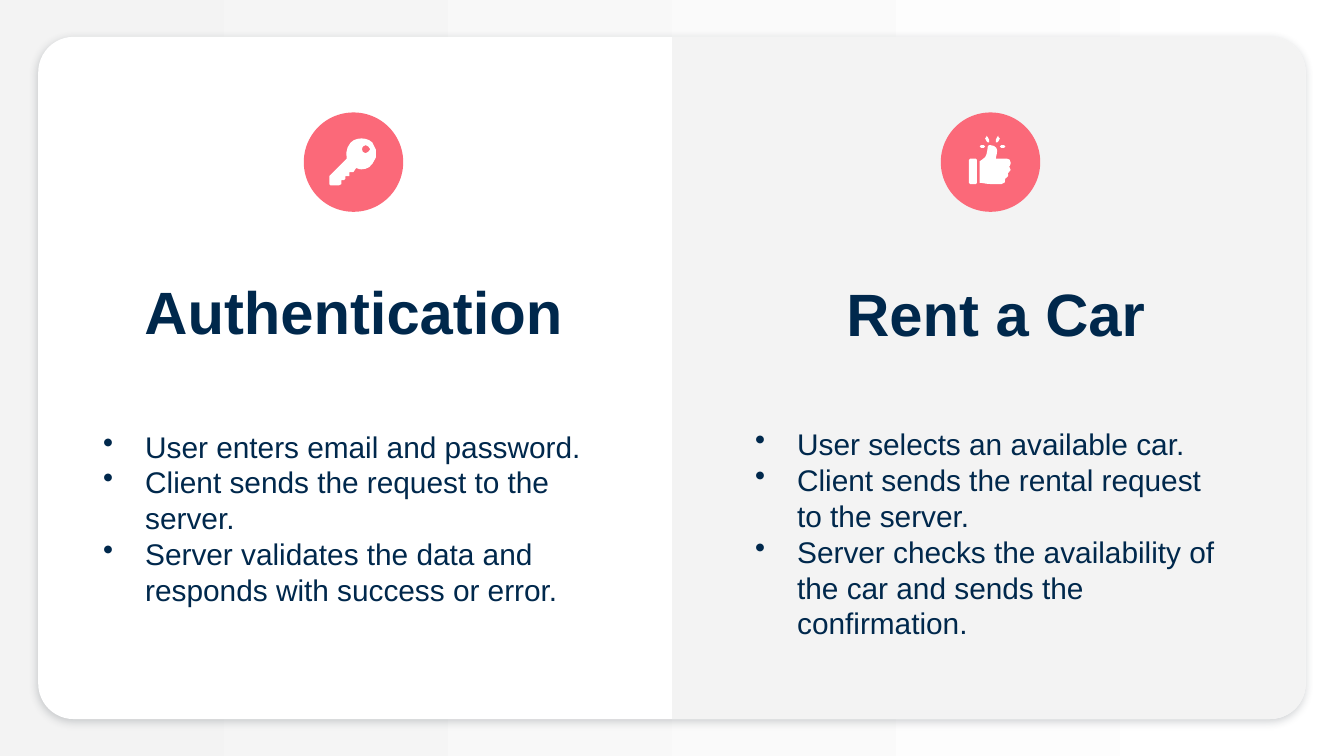
from math import dist

from lxml import etree
from pptx import Presentation
from pptx import util as u
from pptx.dml.color import RGBColor
from pptx.enum import shapes, text
from pptx.oxml import parse_xml
from pptx.oxml.ns import nsdecls, qn

THEME = {
    "font": "Arial", "head": 32, "body": 16,
    "ink": "00284C", "pale": "F3F3F3", "white": "FFFFFF",
    "rose": "FB6979", "shade": "26303A",
}
SIZE = (720, 405)
CARD = (679, 365.5)
ROUND = 19
DISC = (60.25, 53.25)
INDENT = 22.5

KEY = [
    [(272, 108), (273, 108, 274, 108, 274, 109), (276, 110, 276, 112, 274, 113),
     (274, 114, 273, 114, 272, 114), (271, 114, 271, 114, 270, 113),
     (269, 112, 269, 110, 270, 109)],
    [(269, 103), (266, 103, 263, 104, 261, 106), (258, 109, 257, 114, 258, 118),
     (245, 131), (245, 137), (246, 138), (252, 138),
     (254, 137), (254, 134), (256, 134), (257, 133), (257, 131), (260, 131),
     (260, 128), (263, 128), (265, 125),
     (267, 126, 268, 126, 269, 126), (272, 126, 275, 125, 277, 122),
     (281, 118, 281, 111, 277, 106), (275, 104, 272, 103, 269, 103)],
]
THUMB = [
    [(745, 108), (744, 109), (745, 110), (747, 110), (748, 109), (747, 108)],
    [(734, 101), (734, 102), (733, 103), (734, 105), (735, 106), (736, 106),
     (736, 104), (735, 102)],
    [(743, 101), (742, 102), (741, 104), (741, 106), (742, 106), (743, 105),
     (744, 103), (743, 102)],
    [(730, 108), (729, 109), (730, 110), (732, 110), (733, 109), (732, 108)],
    [(722, 118), (721, 119), (721, 136), (722, 137), (726, 137), (727, 136),
     (727, 119), (726, 118)],
    [(736, 108), (735, 109), (735, 111, 734, 116, 733, 117),
     (731, 119, 730, 119, 729, 120), (729, 136), (731, 136, 734, 137, 738, 137),
     (745, 137), (747, 137, 749, 135, 748, 133), (750, 132, 751, 130, 750, 129),
     (752, 128, 753, 125, 751, 124), (752, 123, 752, 122, 752, 121),
     (752, 119, 751, 118, 749, 118), (741, 118), (741, 117, 742, 114, 742, 112),
     (742, 110, 740, 108, 737, 108)],
]
SIDES = [
    {"title": "Authentication", "head": (44.75, 137.5, 289.5, 55.5),
     "list": (48.25, 222.25, 283, 133), "disc": 162.75,
     "steps": ["User enters email and password.",
               "Client sends the request to the server.",
               "Server validates the data and responds with success or error."]},
    {"title": "Rent a Car", "head": (400.25, 138.5, 266.5, 55.5),
     "list": (397.5, 221, 266.5, 133), "disc": 504,
     "steps": ["User selects an available car.",
               "Client sends the rental request to the server.",
               "Server checks the availability of the car and sends the confirmation."]},
]


def tint(name):
    return RGBColor.from_string(THEME[name])


def paint(shape, name):
    shape.shadow.inherit = False
    shape.fill.solid()
    shape.fill.fore_color.rgb = tint(name)
    shape.line.fill.background()
    return shape


def block(slide, kind, box, name):
    return paint(slide.shapes.add_shape(kind, *map(u.Pt, box)), name)


def trace(start, step):
    if len(step) == 2:
        return [step]
    a, b, c, d = start, step[:2], step[2:4], step[4:]
    count = 3 if dist(a, d) > 6 else 2 if dist(a, d) > 3 else 1
    spots = []
    for n in range(1, count + 1):
        t = n / count
        s = 1 - t
        spots.append(tuple(s**3 * a[i] + 3 * s * s * t * b[i]
                           + 3 * s * t * t * c[i] + t**3 * d[i] for i in (0, 1)))
    return spots


def draw(place, curves):
    unit = u.Inches(0.01)
    pen = None
    for first, *steps in curves:
        spots = [first]
        for step in steps:
            spots += trace(spots[-1], step)
        spots = [(x * unit, y * unit) for x, y in spots]
        if pen is None:
            pen = place.build_freeform(*spots[0], scale=1.0)
        else:
            pen.move_to(*spots[0])
        pen.add_line_segments(spots[1:], close=True)
    paint(pen.convert_to_shape(), "white")


def write(slide, box, lines, size, bold=False, list_=False):
    frame = slide.shapes.add_textbox(*map(u.Pt, box)).text_frame
    frame.word_wrap = True
    frame.margin_left = frame.margin_right = u.Pt(7.2)
    frame.margin_top = frame.margin_bottom = u.Pt(7.2)
    anchor = text.MSO_ANCHOR
    frame.vertical_anchor = anchor.TOP if list_ else anchor.BOTTOM
    for n, line in enumerate(lines):
        para = frame.add_paragraph() if n else frame.paragraphs[0]
        para.text = line
        if list_:
            props = para._p.get_or_add_pPr()
            props.set("marL", str(u.Pt(INDENT)))
            props.set("indent", str(-u.Pt(INDENT)))
            hue = etree.SubElement(props, qn("a:buClr"))
            etree.SubElement(hue, qn("a:srgbClr"), val=THEME["ink"])
            etree.SubElement(props, qn("a:buChar"), char="•")
        else:
            para.alignment = text.PP_ALIGN.CENTER
        para.font.name = THEME["font"]
        para.font.size = u.Pt(size)
        para.font.bold = bold
        para.font.color.rgb = tint("ink")


def base(slide):
    fill = slide.background.fill
    fill.gradient()
    fill.gradient_angle = 180
    for stop, name in zip(fill.gradient_stops, ("white", "pale")):
        stop.color.rgb = tint(name)
    wide, high = CARD
    left, top = (SIZE[0] - wide) / 2, (SIZE[1] - high) / 2
    kind = shapes.MSO_SHAPE
    card = block(slide, kind.ROUNDED_RECTANGLE, (left, top, wide, high), "white")
    card.adjustments[0] = ROUND / high
    props = card._element.spPr
    props.remove(props.find(qn("a:effectLst")))
    props.append(parse_xml(
        f'<a:effectLst {nsdecls("a")}><a:outerShdw blurRad="{u.Pt(4.5)}" '
        f'dist="{u.Pt(1.5)}" dir="5400000" algn="bl" rotWithShape="0">'
        f'<a:srgbClr val="{THEME["shade"]}"><a:alpha val="21000"/></a:srgbClr>'
        '</a:outerShdw></a:effectLst>'))
    half = wide / 2
    mid = left + half * 1.5
    box = (mid - high / 2, top + (high - half) / 2, high, half)
    panel = block(slide, kind.ROUND_2_SAME_RECTANGLE, box, "pale")
    panel.rotation = 90
    panel.adjustments[0] = ROUND / half
    panel.adjustments[1] = 0


def main():
    deck = Presentation()
    deck.slide_width, deck.slide_height = map(u.Pt, SIZE)
    slide = deck.slides.add_slide(deck.slide_layouts[6])
    base(slide)
    top, span = DISC
    for side in SIDES:
        write(slide, side["head"], [side["title"]], THEME["head"], bold=True)
    for side in SIDES:
        write(slide, side["list"], side["steps"], THEME["body"], list_=True)
    for side in SIDES:
        block(slide, shapes.MSO_SHAPE.OVAL, (side["disc"], top, span, span), "rose")
    draw(slide.shapes, KEY)
    hand = slide.shapes.add_group_shape()
    for part in THUMB:
        draw(hand.shapes, [part])
    deck.save("out.pptx")


if __name__ == "__main__":
    main()
